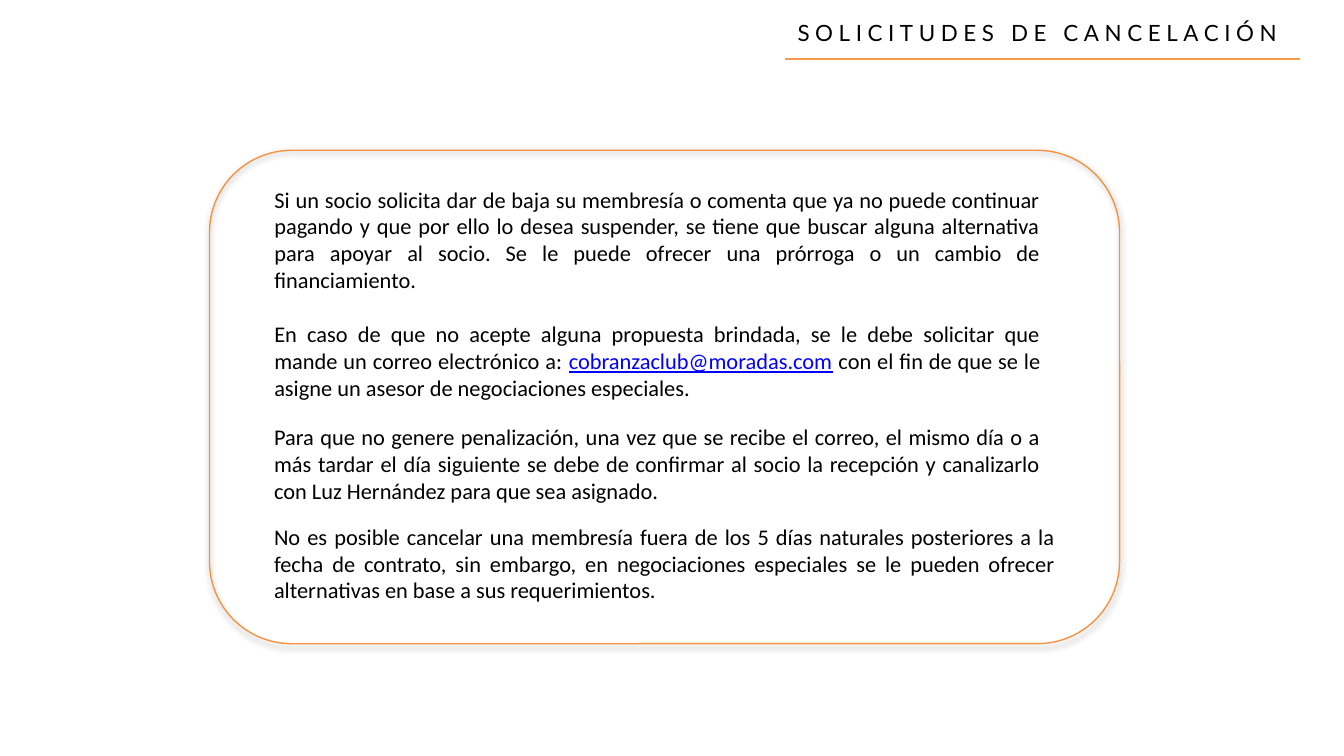
"""Build the slide on membership cancellation requests."""
from pptx import Presentation
from pptx.dml.color import RGBColor as RGB
from pptx.enum.shapes import MSO_CONNECTOR as CONN, MSO_SHAPE as SHAPE
from pptx.enum.text import MSO_ANCHOR as ANCHOR, MSO_AUTO_SIZE as FIT, PP_ALIGN as ALIGN
from pptx.oxml import parse_xml
from pptx.oxml.ns import nsdecls
from pptx.util import Cm, Pt

THEME = {
    "text": RGB(0, 0, 0),
    "link": RGB(0, 0, 255),
    "rule": RGB(0xF7, 0x99, 0x4B),
    "frame": RGB(0xF6, 0x92, 0x40),
    "size": Pt(12),
    "gap": Pt(14.4),
    "title_font": "Lato",
    "body_font": "Calibri",
}
EMAIL = "cobranzaclub@moradas.com"
OFFER = [
    "Si un socio solicita dar de baja su membresía o comenta que ya no puede continuar pagando "
    "y que por ello lo desea suspender, se tiene que buscar alguna alternativa para apoyar al socio. "
    "Se le puede ofrecer una prórroga o un cambio de financiamiento.",
    "En caso de que no acepte alguna propuesta brindada, se le debe solicitar que mande un correo "
    f"electrónico a: {EMAIL} con el fin de que se le asigne un asesor de negociaciones especiales.",
]
CONFIRM = [
    "Para que no genere penalización, una vez que se recibe el correo, el mismo día o a más tardar "
    "el día siguiente se debe de confirmar al socio la recepción y canalizarlo con Luz Hernández "
    "para que sea asignado."
]
DEADLINE = [
    "No es posible cancelar una membresía fuera de los 5 días naturales posteriores a la fecha de "
    "contrato, sin embargo, en negociaciones especiales se le pueden ofrecer alternativas en base "
    "a sus requerimientos."
]


def add_run(p, text, font, color=THEME["text"], underline=False):
    r = p.add_run()
    r.text = text
    r.font.color.rgb = color
    for name, value in {"name": font, "size": THEME["size"], "underline": underline}.items():
        setattr(r.font, name, value)
    return r


def write(sp, box, paragraphs, font=THEME["body_font"], align=ALIGN.JUSTIFY, anchor=ANCHOR.TOP):
    for name, value in zip(("left", "top", "width", "height"), box):
        setattr(sp, name, Cm(value))
    tf = sp.text_frame
    for name, value in {"word_wrap": True, "auto_size": FIT.NONE, "vertical_anchor": anchor}.items():
        setattr(tf, name, value)
    for i, text in enumerate(paragraphs):
        p = tf.add_paragraph() if i else tf.paragraphs[0]
        layout = {"alignment": align, "line_spacing": 1.0, "space_after": Pt(0),
                  "space_before": THEME["gap"] if i else Pt(0)}
        for name, value in layout.items():
            setattr(p, name, value)
        pPr = p._p.get_or_add_pPr()
        pPr.set("marL", "0")
        pPr.set("indent", "0")
        pPr.append(parse_xml(f"<a:buNone {nsdecls('a')}/>"))
        before, email, after = text.partition(EMAIL)
        add_run(p, before, font)
        if email:
            add_run(p, email, font, THEME["link"], True)
            add_run(p, after, font)


prs = Presentation()
prs.slide_width, prs.slide_height = Cm(25.4), Cm(14.28)
s = prs.slides.add_slide(prs.slide_layouts[1])
title, body = s.placeholders

write(title, (14.63, 0.23, 9.96, 0.76), ["SOLICITUDES DE CANCELACIÓN"],
      THEME["title_font"], ALIGN.CENTER, ANCHOR.MIDDLE)
title.text_frame.paragraphs[0].runs[0]._r.get_or_add_rPr().set("spc", "300")

write(body, (4.93, 3.38, 14.99, 4.37), OFFER)
for top, width, paragraphs in ((7.87, 14.99, CONFIRM), (9.75, 15.27, DEADLINE)):
    box = (4.93, top, width, 1.8)
    write(s.shapes.add_textbox(*map(Cm, box)), box, paragraphs)

rule = s.shapes.add_connector(CONN.STRAIGHT, Cm(24.56), Cm(1.12), Cm(14.83), Cm(1.12))
rule.line.color.rgb = THEME["rule"]
rule.line.width = Pt(1)
rule._element.spPr.append(parse_xml(f"<a:effectLst {nsdecls('a')}/>"))

frame = s.shapes.add_shape(SHAPE.ROUNDED_RECTANGLE, Cm(3.96), Cm(2.84), Cm(17.2), Cm(9.32))
frame.fill.background()
frame.line.color.rgb = THEME["frame"]
frame.line.width = Pt(0.75)
frame._element.spPr.append(parse_xml(
    f'<a:effectLst {nsdecls("a")}><a:outerShdw blurRad="{Pt(3.1)}" dist="{Pt(1.6)}" dir="5400000" '
    'rotWithShape="0"><a:srgbClr val="000000"><a:alpha val="38000"/></a:srgbClr>'
    '</a:outerShdw></a:effectLst>'))

prs.save("out.pptx")
